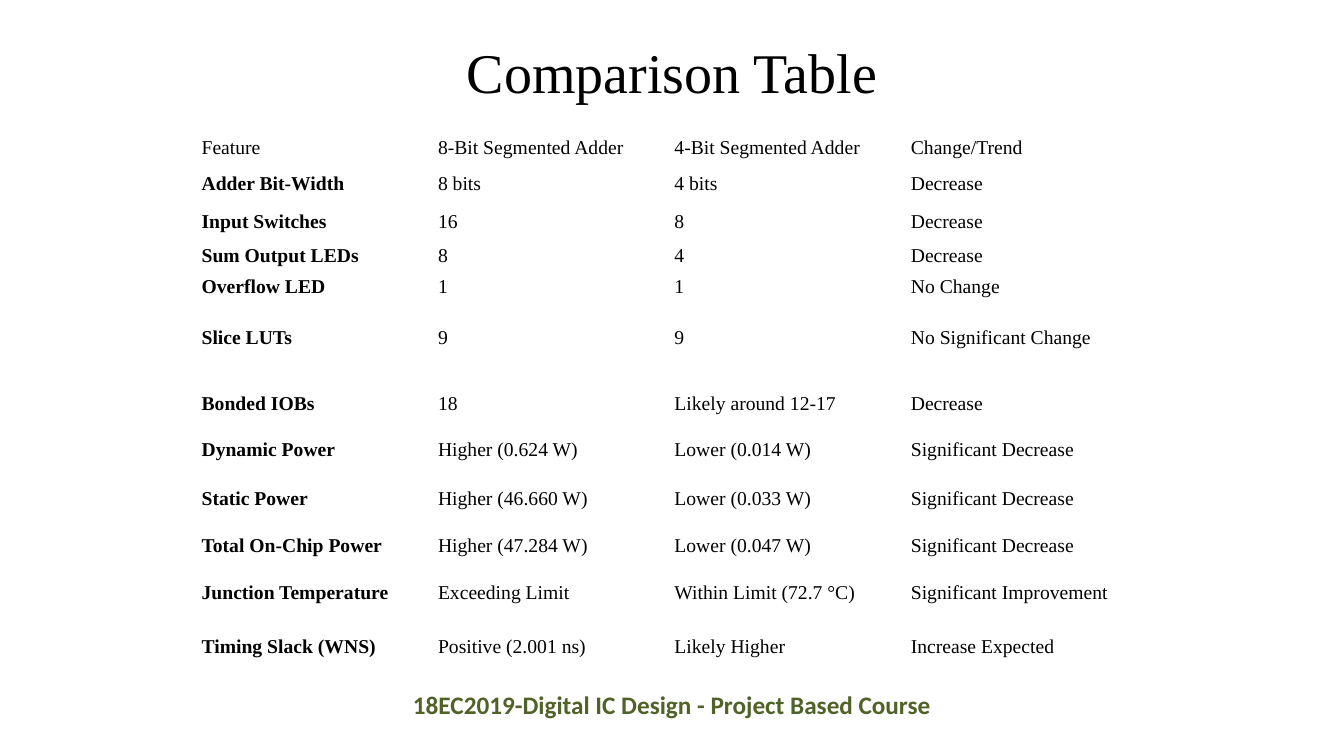
from pptx import Presentation
from pptx.dml.color import RGBColor
from pptx.enum.text import MSO_ANCHOR as Anchor, PP_ALIGN as Align
from pptx.util import Inches, Pt

TITLE = "Comparison Table"
COURSE = "18EC2019-Digital IC Design - Project Based Course"
COMPARISON = [
    (0.28, "Feature", "8-Bit Segmented Adder", "4-Bit Segmented Adder", "Change/Trend"),
    (0.42, "Adder Bit-Width", "8 bits", "4 bits", "Decrease"),
    (0.34, "Input Switches", "16", "8", "Decrease"),
    (0.34, "Sum Output LEDs", "8", "4", "Decrease"),
    (0.28, "Overflow LED", "1", "1", "No Change"),
    (0.73, "Slice LUTs", "9", "9", "No Significant Change"),
    (0.57, "Bonded IOBs", "18", "Likely around 12-17", "Decrease"),
    (0.34, "Dynamic Power", "Higher (0.624 W)", "Lower (0.014 W)", "Significant Decrease"),
    (0.65, "Static Power", "Higher (46.660 W)", "Lower (0.033 W)", "Significant Decrease"),
    (0.28, "Total On-Chip Power", "Higher (47.284 W)", "Lower (0.047 W)", "Significant Decrease"),
    (0.65, "Junction Temperature", "Exceeding Limit", "Within Limit (72.7 °C)", "Significant Improvement"),
    (0.42, "Timing Slack (WNS)", "Positive (2.001 ns)", "Likely Higher", "Increase Expected"),
]

COLORS = {"text": "000000", "course": "4F6228"}
FORMATS = {
    "title": {"name": "Times New Roman", "size": Pt(40), "bold": False},
    "course": {"name": "Calibri", "size": Pt(18), "bold": True},
    "feature": {"name": "Times New Roman", "size": Pt(14), "bold": True},
    "value": {"name": "Times New Roman", "size": Pt(14), "bold": False},
}
CELL = {
    "vertical_anchor": Anchor.MIDDLE,
    "margin_left": Inches(0.02), "margin_right": Inches(0.02),
    "margin_top": Inches(0.01), "margin_bottom": Inches(0.01),
}
WIDTH, HEIGHT = 13.33, 7.5
TABLE_LEFT, TABLE_TOP, TABLE_WIDTH = 1.98, 1.33, 9.38


def apply(target, values):
    for key, value in values.items():
        setattr(target, key, value)


def write(frame, text, role, align=Align.LEFT):
    paragraph = frame.paragraphs[0]
    paragraph.alignment = align
    run = paragraph.add_run()
    run.text = text
    apply(run.font, FORMATS[role])
    run.font.color.rgb = RGBColor.from_string(COLORS.get(role, COLORS["text"]))


def add_heading(slide, text, role, top, width, height, anchor):
    left = (WIDTH - width) / 2
    frame = slide.shapes.add_textbox(
        Inches(left), Inches(top), Inches(width), Inches(height)).text_frame
    apply(frame, {"word_wrap": True, "vertical_anchor": anchor})
    write(frame, text, role, Align.CENTER)


def add_comparison(slide):
    columns = len(COMPARISON[0]) - 1
    total = sum(row[0] for row in COMPARISON)
    table = slide.shapes.add_table(
        len(COMPARISON), columns, Inches(TABLE_LEFT), Inches(TABLE_TOP),
        Inches(TABLE_WIDTH), Inches(total)).table
    apply(table, {"first_row": False, "horz_banding": False})
    for column in table.columns:
        column.width = Inches(TABLE_WIDTH / columns)
    for r, (height, *texts) in enumerate(COMPARISON):
        table.rows[r].height = Inches(height)
        for c, text in enumerate(texts):
            cell = table.cell(r, c)
            apply(cell, CELL)
            cell.fill.background()
            write(cell.text_frame, text, "feature" if r and not c else "value")


def main():
    deck = Presentation()
    apply(deck, {"slide_width": Inches(WIDTH), "slide_height": Inches(HEIGHT)})
    slide = deck.slides.add_slide(deck.slide_layouts[6])
    add_heading(slide, TITLE, "title", 0.08, 12, 1.25, Anchor.MIDDLE)
    add_heading(slide, COURSE, "course", 6.79, 5.53, 0.4, Anchor.TOP)
    add_comparison(slide)
    deck.save("out.pptx")


if __name__ == "__main__":
    main()
